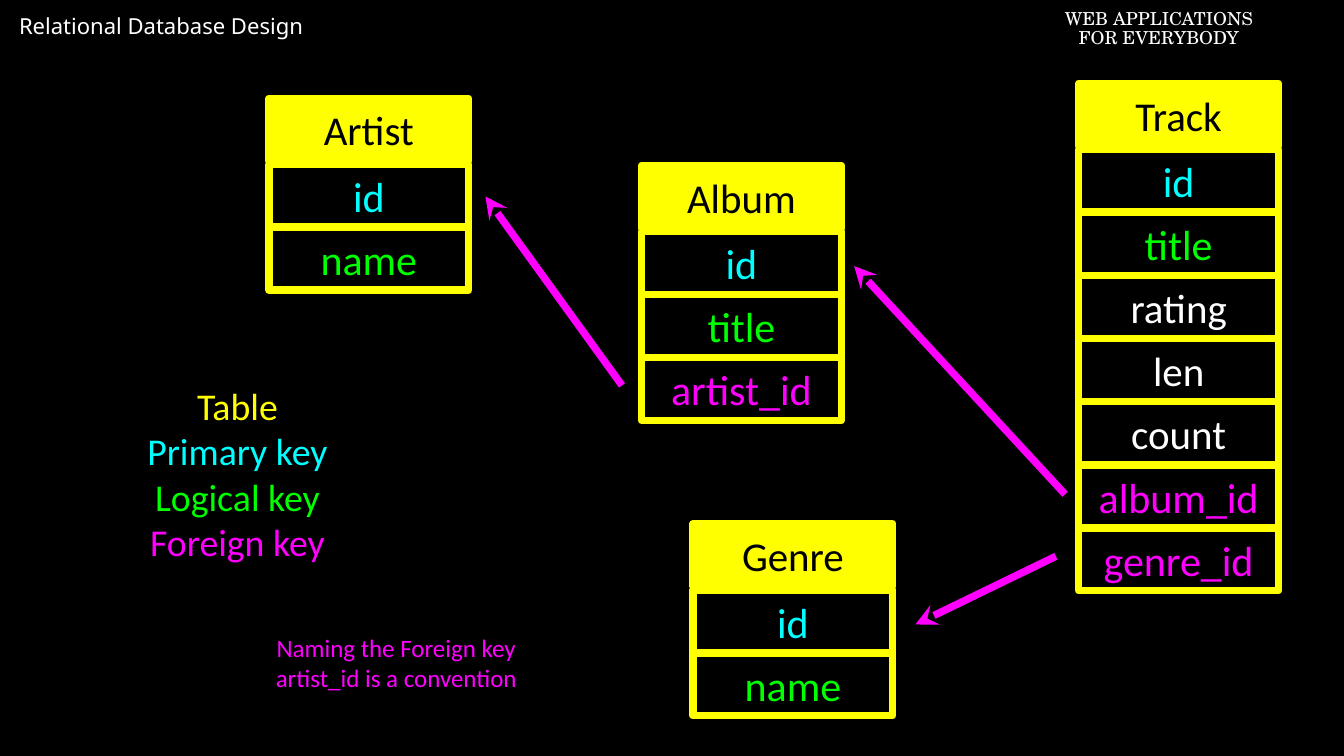
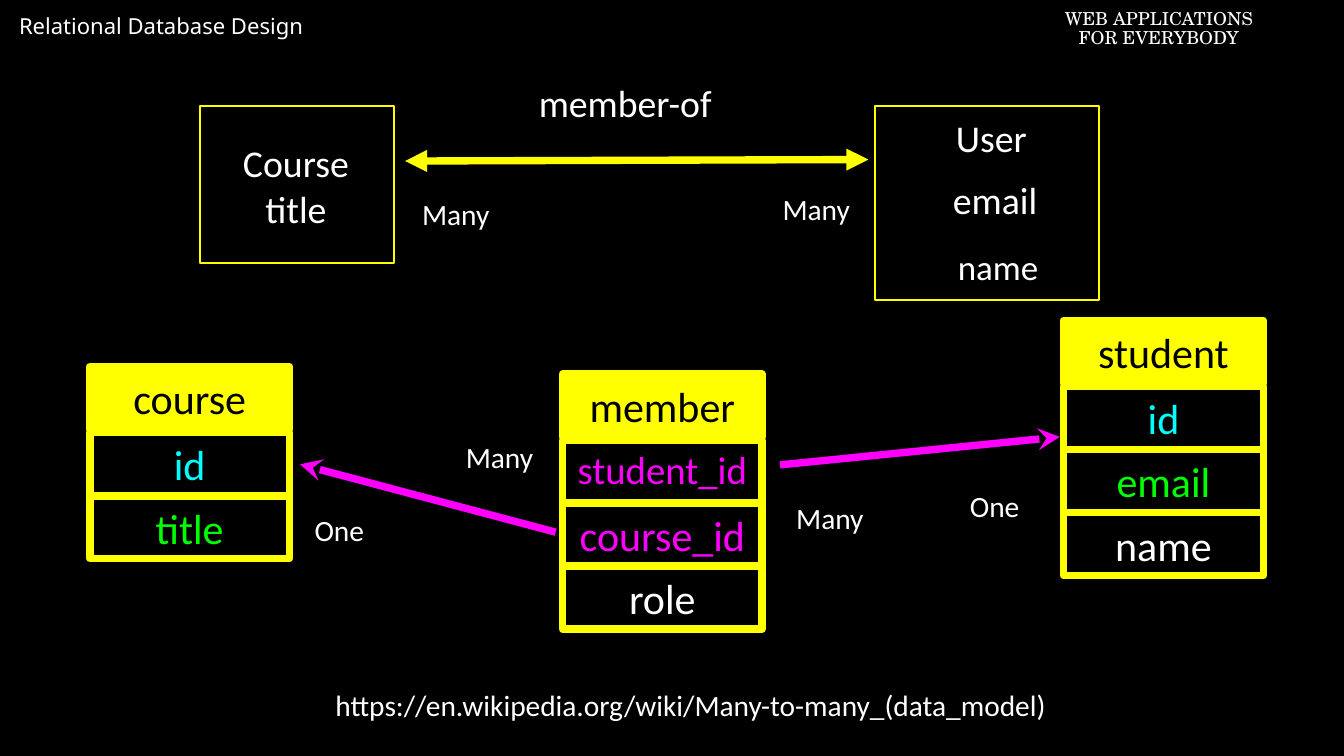
"""Builds two slides on relational keys and many-to-many relationships."""
import pptx
import pptx.dml.color
import pptx.enum.shapes
import pptx.enum.text
import pptx.oxml
import pptx.oxml.ns
import pptx.util

Cm, Pt = pptx.util.Cm, pptx.util.Pt
RGB = pptx.dml.color.RGBColor
ALIGN = pptx.enum.text.PP_ALIGN
ANCHOR = pptx.enum.text.MSO_ANCHOR
RECT = pptx.enum.shapes.MSO_SHAPE.RECTANGLE
STRAIGHT = pptx.enum.shapes.MSO_CONNECTOR.STRAIGHT

BLACK = RGB(0, 0, 0)
WHITE = RGB(255, 255, 255)
YELLOW = RGB(255, 255, 0)
CYAN = RGB(0, 255, 255)
GREEN = RGB(0, 255, 0)
MAGENTA = RGB(255, 0, 255)

BODY_FONT, TITLE_FONT, COURSE_FONT = "Calibri", "Noto Sans", "TeX Gyre Schola"
PRIMARY, LOGICAL, FOREIGN, PLAIN = CYAN, GREEN, MAGENTA, WHITE
KEY_SIZE = 40
SQUEEZED = {"student_id": 37}

ROW_W, ROW_H = 6.71, 2.11
FIRST_ROW, ROW_STEP = 2.22, 2.12
THICK, THIN = 7, 2

TITLE = "Relational Database Design"
COURSE = ["WEB APPLICATIONS", "FOR EVERYBODY"]

MUSIC = {
    "plain_size": 39,
    "tables": [
        ("Album", 21.56, 5.56, [("id", PRIMARY), ("title", LOGICAL), ("artist_id", FOREIGN)]),
        ("Track", 36.25, 2.8, [("id", PRIMARY), ("title", LOGICAL), ("rating", PLAIN), ("len", PLAIN),
                               ("count", PLAIN), ("album_id", FOREIGN), ("genre_id", FOREIGN)]),
        ("Artist", 9.04, 3.3, [("id", PRIMARY), ("name", LOGICAL)]),
        ("Genre", 23.29, 17.6, [("id", PRIMARY), ("name", LOGICAL)]),
    ],
    "frames": [],
    "arrows": [
        ((28.7, 8.94), (35.79, 16.61), MAGENTA),
        ((30.76, 20.98), (35.48, 18.69), MAGENTA),
        ((16.31, 6.6), (20.9, 12.95), MAGENTA),
    ],
    "labels": [
        ([("Table", YELLOW), ("Primary key", PRIMARY), ("Logical key", LOGICAL), ("Foreign key", FOREIGN)],
         (4.45, 12.85, 7.06, 6.1), 36),
        ([("Naming the Foreign key artist_id is a convention", MAGENTA)], (8.18, 20.98, 10.26, 2.54), 23.8),
    ],
}

MEMBERSHIP = {
    "plain_size": 40,
    "tables": [
        ("member", 18.9, 12.57, [("student_id", FOREIGN), ("course_id", FOREIGN), ("role", PLAIN)]),
        ("student", 35.74, 10.77, [("id", PRIMARY), ("email", LOGICAL), ("name", PLAIN)]),
        ("course", 3.02, 12.32, [("id", PRIMARY), ("title", LOGICAL)]),
    ],
    "frames": [(29.39, 3.56, 7.54, 6.53), (6.71, 3.56, 6.53, 5.28)],
    "arrows": [
        ((13.61, 5.41), (29.18, 5.36), YELLOW),
        ((10.08, 15.6), (18.67, 17.88), MAGENTA),
        ((35.61, 14.68), (26.21, 15.62), MAGENTA),
    ],
    "labels": [
        ([("Course", WHITE), ("title", WHITE)], (7.75, 4.65, 4.39, 3.15), 36),
        ([("member-of", WHITE)], (17.48, 2.57, 7.06, 1.73), 36),
        ([("User", WHITE)], (31.39, 3.76, 3.84, 1.73), 36),
        ([("email", WHITE)], (31.75, 5.84, 3.38, 1.73), 36),
        ([("name", WHITE)], (31.85, 8.08, 3.38, 1.73), 33.3),
        ([("Many", WHITE)], (26.16, 16.56, 3.45, 1.65), 28),
        ([("One", WHITE)], (32, 16.18, 2.84, 1.65), 28),
        ([("Many", WHITE)], (25.7, 6.2, 3.45, 1.65), 28),
        ([("Many", WHITE)], (13.59, 6.35, 3.45, 1.65), 28),
        ([("One", WHITE)], (9.98, 16.99, 2.84, 1.65), 28),
        ([("Many", WHITE)], (15.06, 14.53, 3.45, 1.65), 28),
        ([("https://en.wikipedia.org/wiki/Many-to-many_(data_model)", WHITE)], (9.32, 22.86, 27.76, 1.65), 28),
    ],
}


def write(sp, lines, size, font=BODY_FONT, align=ALIGN.CENTER, anchor=ANCHOR.MIDDLE, inset=(0, 0), spacing=None):
    tf = sp.text_frame
    tf.word_wrap = True
    tf.vertical_anchor = anchor
    tf.margin_left = tf.margin_right = Cm(inset[0])
    tf.margin_top = tf.margin_bottom = Cm(inset[1])
    for i, (text, color) in enumerate(lines):
        p = tf.add_paragraph() if i else tf.paragraphs[0]
        p.text = text
        p.alignment = align
        p.line_spacing = spacing
        p.font.name, p.font.size = font, Pt(size)
        p.font.color.rgb = color


def add_text(s, lines, box, size, **style):
    write(s.shapes.add_textbox(*map(Cm, box)), lines, size, **style)


def add_rect(s, box, width, fill=None):
    sp = s.shapes.add_shape(RECT, *map(Cm, box))
    sp.shadow.inherit = False
    if fill is None:
        sp.fill.background()
    else:
        sp.fill.solid()
        sp.fill.fore_color.rgb = fill
    sp.line.color.rgb = YELLOW
    sp.line.width = Pt(width)
    return sp


def add_entity(s, name, left, top, columns, plain_size):
    header = add_rect(s, (left, top, ROW_W, ROW_H), THICK, YELLOW)
    write(header, [(name, BLACK)], plain_size)
    for i, (column, color) in enumerate(columns):
        row = add_rect(s, (left, top + FIRST_ROW + i * ROW_STEP, ROW_W, ROW_H), THICK)
        size = SQUEEZED.get(column, plain_size if color == PLAIN else KEY_SIZE)
        write(row, [(column, color)], size, spacing=0.9 if column in SQUEEZED else None)


def add_arrow(s, start, end, color):
    line = s.shapes.add_connector(STRAIGHT, *map(Cm, start + end))
    line.line.color.rgb = color
    line.line.width = Pt(THICK)
    ends = {"a:headEnd": "triangle", "a:tailEnd": "triangle"} if color == YELLOW else {"a:headEnd": "stealth"}
    ln = line.line._get_or_add_ln()
    for tag, kind in ends.items():
        ln.append(pptx.oxml.parse_xml(f'<{tag} {pptx.oxml.ns.nsdecls("a")} type="{kind}"/>'))
    line._element.spPr.append(pptx.oxml.parse_xml(f'<a:effectLst {pptx.oxml.ns.nsdecls("a")}/>'))


def add_heading(s):
    add_text(s, [(TITLE, WHITE)], (0.18, 0.18, 13.51, 2.24), 21, font=TITLE_FONT,
             align=ALIGN.LEFT, anchor=ANCHOR.TOP, inset=(0.46, 0.23))
    add_text(s, [(line, WHITE) for line in COURSE], (33.81, 0.2, 10.26, 1.55), 17, font=COURSE_FONT,
             anchor=ANCHOR.TOP, inset=(0.25, 0.13), spacing=0.9)


def add_diagram(prs, diagram):
    s = prs.slides.add_slide(prs.slide_layouts[6])
    s.background.fill.solid()
    s.background.fill.fore_color.rgb = BLACK
    add_heading(s)
    for box in diagram["frames"]:
        add_rect(s, box, THIN)
    for table in diagram["tables"]:
        add_entity(s, *table, diagram["plain_size"])
    for arrow in diagram["arrows"]:
        add_arrow(s, *arrow)
    for label in diagram["labels"]:
        add_text(s, *label)


def main():
    prs = pptx.Presentation()
    prs.slide_width, prs.slide_height = Cm(45.16), Cm(25.4)
    for diagram in (MUSIC, MEMBERSHIP):
        add_diagram(prs, diagram)
    prs.save("out.pptx")


if __name__ == "__main__":
    main()
